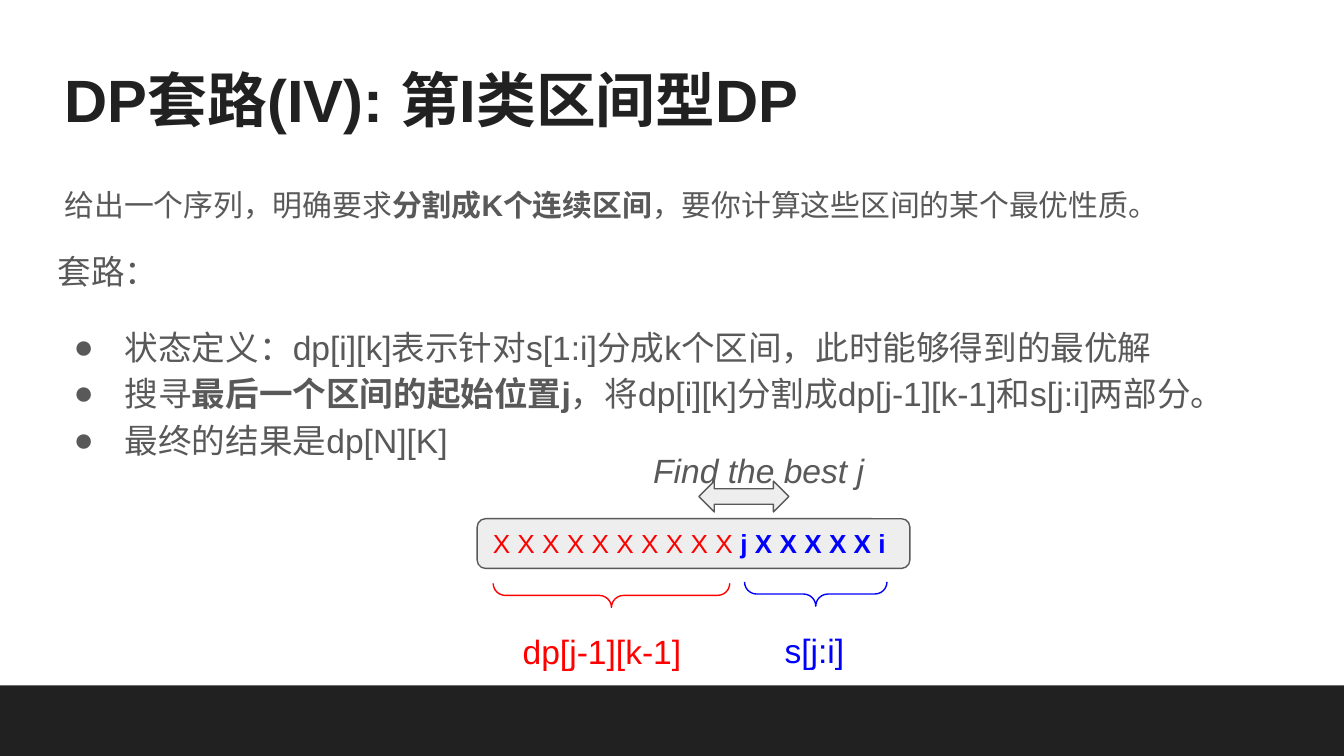
from lxml.etree import SubElement
from pptx import Presentation
from pptx.dml.color import RGBColor
from pptx.enum.shapes import MSO_SHAPE
from pptx.enum.text import MSO_ANCHOR, MSO_AUTO_SIZE, PP_ALIGN
from pptx.oxml.ns import qn
from pptx.util import Inches, Pt

COLORS = {
    "dark": "212121", "gray": "595959", "pale": "EEEEEE",
    "red": "FF0000", "blue": "0000FF",
}


def write(par, parts, size, align=PP_ALIGN.LEFT, spacing=1.15):
    """Fill a paragraph from (text, colour, bold) parts."""
    par.alignment = align
    par.line_spacing = spacing
    par.space_before = Pt(0)
    for text, color, bold in parts:
        run = par.add_run()
        run.text = text
        run.font.name = "Arial"
        run.font.size = Pt(size)
        run.font.bold = bold
        run.font.color.rgb = RGBColor.from_string(COLORS[color])


def setup(shape, box, anchor=MSO_ANCHOR.TOP):
    """Place a shape and give its text frame even margins."""
    shape.left, shape.top, shape.width, shape.height = map(Inches, box)
    frame = shape.text_frame
    frame.word_wrap = True
    frame.auto_size = MSO_AUTO_SIZE.NONE
    frame.vertical_anchor = anchor
    frame.margin_left = frame.margin_right = Inches(0.1)
    frame.margin_top = frame.margin_bottom = Inches(0.1)
    return frame


deck = Presentation()
deck.slide_width = Inches(10)
deck.slide_height = Inches(10 * 9 / 16)
slide = deck.slides.add_slide(deck.slide_layouts[1])
shapes = slide.shapes

# Title and introduction
frame = setup(shapes.title, (0.38, 0.37, 8.1, 0.73), MSO_ANCHOR.BOTTOM)
write(frame.paragraphs[0], [("DP套路(IV): 第I类区间型DP", "dark", True)], 32, spacing=1)

frame = setup(slide.placeholders[1], (0.38, 1.25, 8.74, 3.47))
intro = frame.paragraphs[0]
write(intro, [
    ("给出一个序列，明确要求", "gray", False),
    ("分割成K个连续区间", "gray", True),
    ("，要你计算这些区间的某个最优性质。", "gray", False),
], 16)
props = intro._p.get_or_add_pPr()
props.set("marL", "0")
props.set("indent", "0")
SubElement(props, qn("a:buNone"))

# Steps
steps = [
    [("状态定义：dp[i][k]表示针对s[1:i]分成k个区间，此时能够得到的最优解", "gray", False)],
    [
        ("搜寻", "gray", False),
        ("最后一个区间的起始位置j", "gray", True),
        ("，将dp[i][k]分割成dp[j-1][k-1]和s[j:i]两部分。", "gray", False),
    ],
    [("最终的结果是dp[N][K]", "gray", False)],
]
box = (0.33, 1.72, 8.92, 1.86)
frame = setup(shapes.add_textbox(*map(Inches, box)), box)
write(frame.paragraphs[0], [("套路：", "gray", False)], 18)
for i, parts in enumerate(steps):
    par = frame.add_paragraph()
    write(par, parts, 18)
    if i == 0:
        par.space_before = Pt(16)
    props = par._p.get_or_add_pPr()
    props.set("marL", str(Inches(0.5)))
    props.set("indent", str(-Inches(0.38)))
    SubElement(props, qn("a:buFont")).set("typeface", "Arial")
    SubElement(props, qn("a:buChar")).set("char", "●")

# Footer band, sequence bar, braces and arrow
figures = [
    # kind, box, fill, line, adjustments, rotation
    (MSO_SHAPE.RECTANGLE, (0, 5.1, 10, 0.52), "dark", None, [], 0),
    (MSO_SHAPE.ROUNDED_RECTANGLE, (3.55, 3.86, 3.22, 0.37), "pale", "gray", [0.17], 0),
    (MSO_SHAPE.LEFT_BRACE, (5.98, 3.89, 0.18, 1.06), None, "blue", [0.5, 0.5], 270),
    (MSO_SHAPE.LEFT_BRACE, (4.46, 3.55, 0.18, 1.76), None, "red", [0.5, 0.5], 270),
    (MSO_SHAPE.LEFT_RIGHT_ARROW, (5.2, 3.58, 0.67, 0.23), "pale", "gray", [0.5, 0.5], 0),
]
for kind, box, fill, line, adjust, turn in figures:
    shape = shapes.add_shape(kind, *map(Inches, box))
    shape.shadow.inherit = False
    shape.rotation = turn
    for i, value in enumerate(adjust):
        shape.adjustments[i] = value
    if fill:
        shape.fill.solid()
        shape.fill.fore_color.rgb = RGBColor.from_string(COLORS[fill])
    else:
        shape.fill.background()
    if line:
        shape.line.color.rgb = RGBColor.from_string(COLORS[line])
        shape.line.width = Pt(0.75)
    else:
        shape.line.fill.background()
    if kind == MSO_SHAPE.RECTANGLE:
        shape.height = deck.slide_height - shape.top
    if kind == MSO_SHAPE.ROUNDED_RECTANGLE:
        frame = setup(shape, box, MSO_ANCHOR.MIDDLE)
        write(frame.paragraphs[0], [
            ("X " * 10, "red", False), ("j X X X X X i", "blue", True),
        ], 14, spacing=1)

# Labels
labels = [
    ("dp[j-1][k-1]", (3.79, 4.55, 1.52, 0.42), "red", PP_ALIGN.LEFT, False),
    ("s[j:i]", (5.3, 4.54, 1.52, 0.42), "blue", PP_ALIGN.CENTER, False),
    ("Find the best j", (4.65, 3.2, 1.99, 0.48), "gray", PP_ALIGN.CENTER, True),
]
for text, box, color, align, slant in labels:
    frame = setup(shapes.add_textbox(*map(Inches, box)), box)
    par = frame.paragraphs[0]
    write(par, [(text, color, False)], 18, align)
    par.space_after = Pt(16)
    par.runs[0].font.italic = slant

deck.save("out.pptx")
